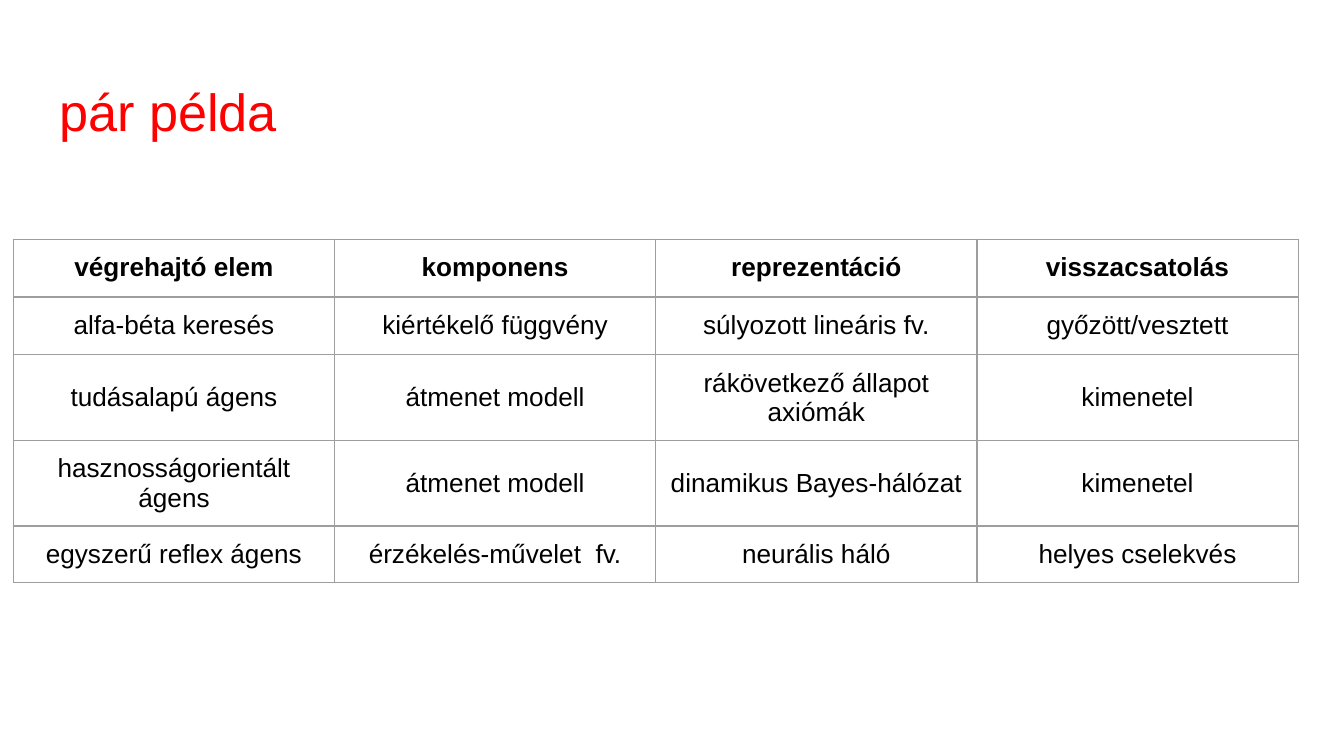
from dataclasses import dataclass

from lxml.etree import SubElement
from pptx import Presentation
from pptx.dml.color import RGBColor
from pptx.enum.text import MSO_ANCHOR, PP_ALIGN
from pptx.oxml.ns import qn
from pptx.util import Inches, Pt

RED = RGBColor(0xFF, 0x00, 0x00)
BLACK = RGBColor(0x00, 0x00, 0x00)
GRAY = RGBColor(0x9E, 0x9E, 0x9E)
FONT = "Arial"
PAD = Inches(0.1)
WIDTH = Inches(10)
HEIGHT = WIDTH * 9 // 16


@dataclass
class Row:
    cells: tuple[str, ...]
    height: float
    head: bool = False


ROWS = [
    Row(("végrehajtó elem", "komponens", "reprezentáció", "visszacsatolás"), 0.43, True),
    Row(("alfa-béta keresés", "kiértékelő függvény", "súlyozott lineáris fv.", "győzött/vesztett"), 0.43),
    Row(("tudásalapú ágens", "átmenet modell", "rákövetkező állapot axiómák", "kimenetel"), 0.42),
    Row(("hasznosságorientált ágens", "átmenet modell", "dinamikus Bayes-hálózat", "kimenetel"), 0.42),
    Row(("egyszerű reflex ágens", "érzékelés-művelet  fv.", "neurális háló", "helyes cselekvés"), 0.42),
]


def style(para, size: float, color: RGBColor, bold: bool = False) -> None:
    for run in para.runs:
        run.font.name = FONT
        run.font.size = Pt(size)
        run.font.bold = bold
        run.font.color.rgb = color


def pad(box) -> None:
    box.margin_left = box.margin_right = PAD
    box.margin_top = box.margin_bottom = PAD


def add_title(slide, text: str) -> None:
    title = slide.shapes.title
    title.left, title.top = Inches(0.34), Inches(0.49)
    title.width, title.height = Inches(9.32), Inches(0.63)
    frame = title.text_frame
    frame.text = text
    frame.vertical_anchor = MSO_ANCHOR.TOP
    pad(frame)
    para = frame.paragraphs[0]
    para.alignment = PP_ALIGN.LEFT
    style(para, 28, RED)


def add_edges(cell) -> None:
    props = cell._tc.get_or_add_tcPr()
    for side in ("a:lnL", "a:lnR", "a:lnT", "a:lnB"):
        line = SubElement(props, qn(side), w=str(Pt(0.75)))
        fill = SubElement(line, qn("a:solidFill"))
        SubElement(fill, qn("a:srgbClr"), val=str(GRAY))


def fill_cell(cell, text: str, head: bool) -> None:
    cell.text_frame.text = text
    pad(cell)
    cell.vertical_anchor = MSO_ANCHOR.TOP if head else MSO_ANCHOR.MIDDLE
    para = cell.text_frame.paragraphs[0]
    para.alignment = PP_ALIGN.CENTER
    style(para, 14, BLACK, head)
    add_edges(cell)
    cell.fill.background()


def add_grid(slide, rows: list[Row]) -> None:
    count = len(rows[0].cells)
    width = Inches(2.39)
    height = Inches(sum(row.height for row in rows))
    table = slide.shapes.add_table(
        len(rows), count, Inches(0.1), Inches(1.78), width * count, height
    ).table
    table.first_row = table.horz_banding = False
    for col in table.columns:
        col.width = width
    for r, row in enumerate(rows):
        table.rows[r].height = Inches(row.height)
        for c, text in enumerate(row.cells):
            fill_cell(table.cell(r, c), text, row.head)


def main() -> None:
    deck = Presentation()
    deck.slide_width, deck.slide_height = WIDTH, HEIGHT
    slide = deck.slides.add_slide(deck.slide_layouts[5])
    add_title(slide, "pár példa")
    add_grid(slide, ROWS)
    deck.save("out.pptx")


if __name__ == "__main__":
    main()
